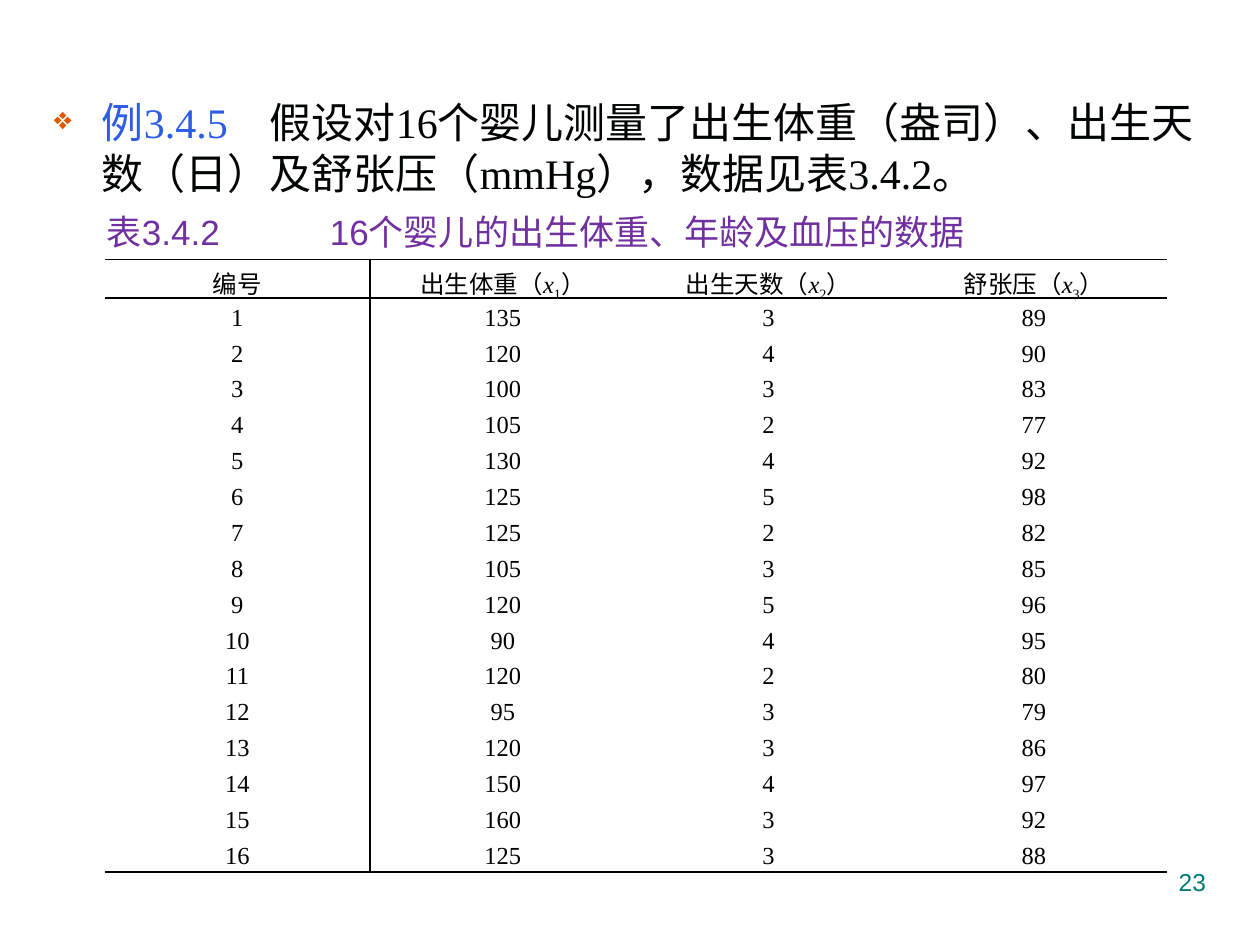
"""Build the slide for example 3.4.5: a table of infant birth weight, age and blood pressure."""
from lxml.etree import SubElement
from pptx import Presentation
from pptx.dml.color import RGBColor
from pptx.enum.text import MSO_ANCHOR, PP_ALIGN
from pptx.oxml.ns import qn
from pptx.util import Inches, Pt

BLACK = RGBColor(0x00, 0x00, 0x00)
INK = RGBColor(0x00, 0x04, 0x04)
BLUE = RGBColor(0x2D, 0x5C, 0xE7)
PURPLE = RGBColor(0x70, 0x30, 0xA0)
TEAL = RGBColor(0x00, 0x7A, 0x77)
ORANGE = RGBColor(0xDC, 0x59, 0x00)
SERIF, SANS = "Times New Roman", "Arial"

EXAMPLE_LABEL = "例3.4.5　"
EXAMPLE = "假设对16个婴儿测量了出生体重（盎司）、出生天数（日）及舒张压（mmHg），数据见表3.4.2。"
CAPTION = "表3.4.2\t16个婴儿的出生体重、年龄及血压的数据"
PAGE = "23"
NUMBER_HEADING = "编号"
VARIABLES = ["出生体重", "出生天数", "舒张压"]
INFANTS = [
    (135, 3, 89), (120, 4, 90), (100, 3, 83), (105, 2, 77),
    (130, 4, 92), (125, 5, 98), (125, 2, 82), (105, 3, 85),
    (120, 5, 96), (90, 4, 95), (120, 2, 80), (95, 3, 79),
    (120, 3, 86), (150, 4, 97), (160, 3, 92), (125, 3, 88),
]


def add_run(paragraph, text, size, color, font=SERIF):
    run = paragraph.add_run()
    run.text = text
    run.font.size = Pt(size)
    run.font.name = font
    run.font.color.rgb = color
    return run


def add_box(slide, left, top, width, height):
    frame = slide.shapes.add_textbox(*map(Inches, (left, top, width, height))).text_frame
    frame.word_wrap = True
    return frame.paragraphs[0]


def add_bullet(paragraph, indent):
    properties = paragraph._p.get_or_add_pPr()
    properties.set("marL", str(Inches(indent)))
    properties.set("indent", str(-Inches(indent)))
    color = SubElement(properties, qn("a:buClr"))
    SubElement(color, qn("a:srgbClr"), val=str(ORANGE))
    SubElement(properties, qn("a:buSzPct"), val="75000")
    SubElement(properties, qn("a:buChar"), char="❖")


def add_tab_stop(paragraph, position):
    tabs = SubElement(paragraph._p.get_or_add_pPr(), qn("a:tabLst"))
    SubElement(tabs, qn("a:tab"), pos=str(Inches(position)), algn="l")


def set_borders(cell, ruled):
    properties = cell._tc.get_or_add_tcPr()
    for side in "LRTB":
        line = SubElement(properties, qn(f"a:ln{side}"), w=str(Pt(1)))
        if side in ruled:
            fill = SubElement(line, qn("a:solidFill"))
            SubElement(fill, qn("a:srgbClr"), val=str(BLACK))
        else:
            SubElement(line, qn("a:noFill"))


def fill_cell(cell, parts, ruled):
    set_borders(cell, ruled)
    cell.fill.background()
    cell.vertical_anchor = MSO_ANCHOR.MIDDLE
    cell.margin_left = cell.margin_right = Inches(0.07)
    cell.margin_top = cell.margin_bottom = 0
    paragraph = cell.text_frame.paragraphs[0]
    paragraph.alignment = PP_ALIGN.CENTER
    paragraph.line_spacing = 1.15
    for text, style in parts:
        run = add_run(paragraph, text, 14, BLACK)
        if style == "italic":
            run.font.italic = True
        elif style == "subscript":
            run.font._element.set("baseline", "-25000")


def add_data_table(slide, left, top, width, height):
    header = [[(NUMBER_HEADING, "")]] + [
        [(f"{name}（", ""), ("x", "italic"), (str(index), "subscript"), ("）", "")]
        for index, name in enumerate(VARIABLES, 1)
    ]
    body = [
        [[(str(value), "")] for value in (number, *infant)]
        for number, infant in enumerate(INFANTS, 1)
    ]
    rows = [header] + body
    table = slide.shapes.add_table(
        len(rows), len(header), *map(Inches, (left, top, width, height))
    ).table
    table.first_row = table.horz_banding = False
    for row in table.rows:
        row.height = Inches(height / len(rows))
    for r, row in enumerate(rows):
        for c, parts in enumerate(row):
            ruled = {0: "R", 1: "L"}.get(c, "")
            ruled += "T" if r in (0, 1) else ""
            ruled += "B" if r in (0, len(rows) - 1) else ""
            fill_cell(table.cell(r, c), parts, ruled)


def main():
    deck = Presentation()
    deck.slide_width, deck.slide_height = Inches(10), Inches(7.5)
    slide = deck.slides.add_slide(deck.slide_layouts[6])

    example = add_box(slide, 0.33, 0.72, 9.34, 5.95)
    example.space_before = Pt(5)
    add_bullet(example, 0.38)
    add_run(example, EXAMPLE_LABEL, 24, BLUE)
    add_run(example, EXAMPLE, 24, INK)

    page = add_box(slide, 7.17, 6.83, 2.5, 0.52)
    page.alignment = PP_ALIGN.RIGHT
    add_run(page, PAGE, 14, TEAL, SANS)

    caption = add_box(slide, 0.75, 1.62, 7.43, 0.44)
    add_tab_stop(caption, 1.77)
    add_run(caption, CAPTION, 20, PURPLE, SANS)

    add_data_table(slide, 0.83, 2.06, 8.43, 4.84)
    deck.save("out.pptx")


if __name__ == "__main__":
    main()
